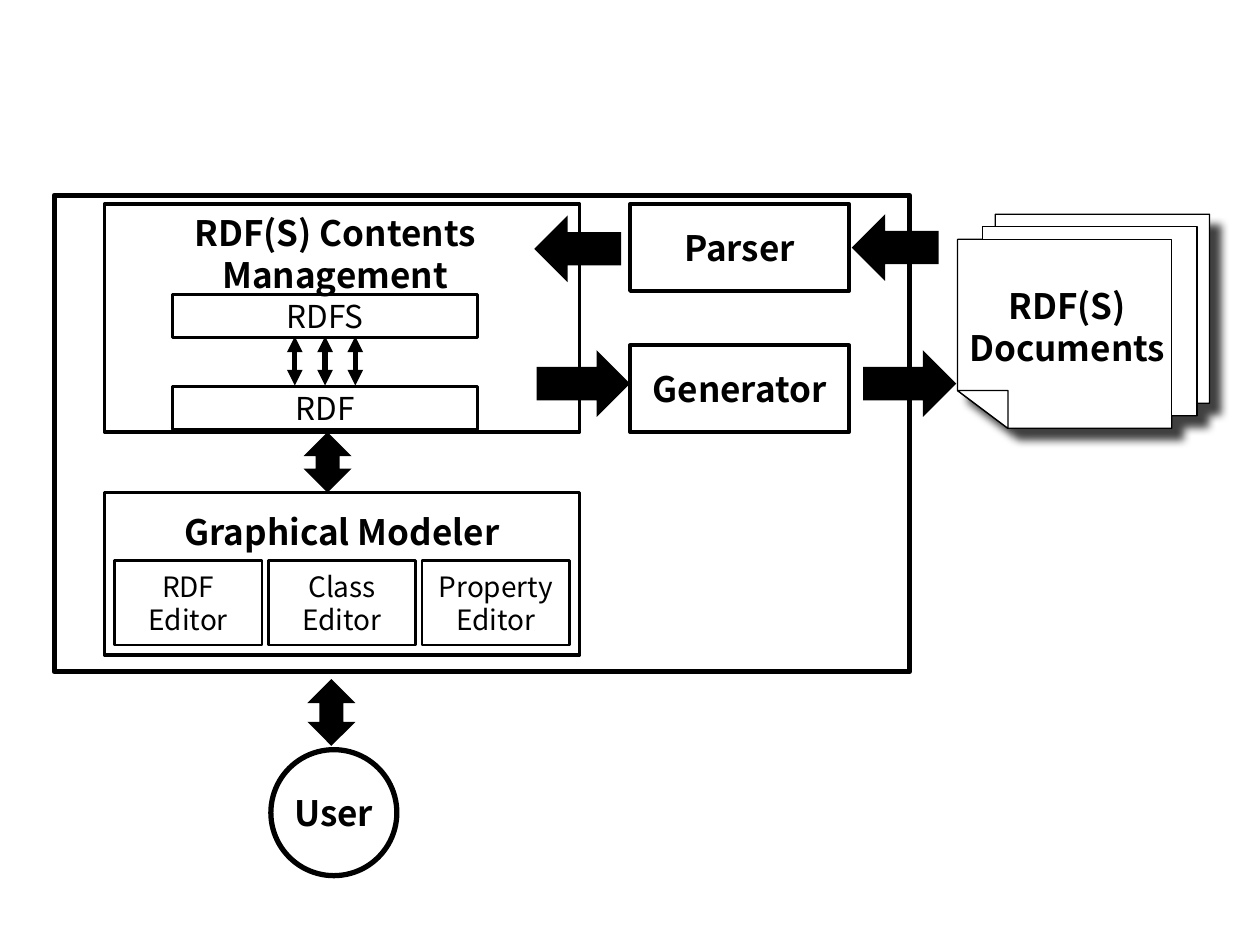
from lxml import etree
from pptx import Presentation
from pptx.dml.color import RGBColor
from pptx.enum.shapes import MSO_CONNECTOR, MSO_SHAPE
from pptx.enum.text import MSO_ANCHOR, PP_ALIGN
from pptx.oxml.ns import qn
from pptx.util import Inches, Pt

RECT, OVAL = MSO_SHAPE.RECTANGLE, MSO_SHAPE.OVAL
LEFT, RIGHT = MSO_SHAPE.LEFT_ARROW, MSO_SHAPE.RIGHT_ARROW
UP_DOWN = MSO_SHAPE.UP_DOWN_ARROW
STRAIGHT = MSO_CONNECTOR.STRAIGHT
TOP, MIDDLE = MSO_ANCHOR.TOP, MSO_ANCHOR.MIDDLE
CENTER = PP_ALIGN.CENTER

COLORS = {"ink": "000000", "paper": "FFFFFF"}
FONT = "Noto Sans CJK JP"
COLUMNS, ROWS = 100, 75
CELL = Inches(0.1)


def grid(*cells):
    return [round(cell * CELL) for cell in cells]


def color(name):
    return RGBColor.from_string(COLORS[name])


def paint(shape, fill, line_width):
    shape.shadow.inherit = False
    if fill:
        shape.fill.solid()
        shape.fill.fore_color.rgb = color(fill)
    else:
        shape.fill.background()
    if line_width:
        shape.line.color.rgb = color("ink")
        shape.line.width = Pt(line_width)
    else:
        shape.line.fill.background()


def write(shape, text, size, bold, anchor=MIDDLE, wrap=False):
    frame = shape.text_frame
    frame.text = text
    frame.word_wrap = wrap
    frame.vertical_anchor = anchor
    for paragraph in frame.paragraphs:
        paragraph.alignment = CENTER
        for run in paragraph.runs:
            run.font.name = FONT
            run.font.size = Pt(size)
            run.font.bold = bold
            run.font.color.rgb = color("ink")


def add_box(slide, area, line_width, text="", size=20, bold=True,
            fill=None, kind=RECT, anchor=MIDDLE):
    box = slide.shapes.add_shape(kind, *grid(*area))
    paint(box, fill, line_width)
    if text:
        write(box, text, size, bold, anchor)
    return box


def add_label(slide, area, text, wrap):
    label = slide.shapes.add_textbox(*grid(*area))
    write(label, text, 20, True, TOP, wrap)


def add_block_arrow(slide, kind, area):
    paint(slide.shapes.add_shape(kind, *grid(*area)), "ink", None)


def add_link(slide, column, top, bottom):
    link = slide.shapes.add_connector(STRAIGHT, *grid(column, top, column, bottom))
    link.line.color.rgb = color("ink")
    link.line.width = Pt(3)
    outline = link.line._get_or_add_ln()
    for end in ("a:headEnd", "a:tailEnd"):
        etree.SubElement(outline, qn(end), type="triangle")
    etree.SubElement(link._element.spPr, qn("a:effectLst"))


def add_outline(slide, points):
    builder = slide.shapes.build_freeform(*points[0], scale=CELL)
    builder.add_line_segments(points[1:], close=True)
    outline = builder.convert_to_shape()
    paint(outline, "paper", 0.75)
    return outline


def cast_shadow(shape):
    effects = shape._element.spPr.find(qn("a:effectLst"))
    shadow = etree.SubElement(
        effects, qn("a:outerShdw"), blurRad=str(Pt(5)), dist=str(Pt(8.5)),
        dir=str(45 * 60000), algn="ctr", rotWithShape="0")
    tint = etree.SubElement(shadow, qn("a:srgbClr"), val=COLORS["ink"])
    etree.SubElement(tint, qn("a:alpha"), val="75000")


def add_documents(slide):
    fold = [(75.9, 31), (80.1, 31), (80.1, 33.9)]
    stack = [(75.9, 31), (75.9, 18.8), (77.5, 18.8), (77.5, 17.7),
             (79.2, 17.7), (79.2, 16.6), (96.4, 16.6), (96.4, 31.7),
             (94.8, 31.7), (94.8, 32.8), (93.2, 32.8), (93.2, 33.9),
             (80.1, 33.9)]
    middle_sheet = [(77.5, 17.7), (94.8, 17.7), (94.8, 32.8),
                    (93.2, 32.8), (93.2, 18.8), (77.5, 18.8)]
    cast_shadow(add_outline(slide, stack))
    for points in (middle_sheet, fold):
        add_outline(slide, points)
    add_label(slide, (75.3, 22.1, 18.8, 7.7), "RDF(S)\nDocuments", False)


def add_contents_management(slide):
    add_box(slide, (8.3, 16.2, 37.7, 18.1), 2)
    for row, name in ((30.7, "RDF"), (23.4, "RDFS")):
        add_box(slide, (13.7, row, 24.2, 3.4), 1.5, name, 18, False, "paper")
    for index in range(3):
        add_link(slide, 23.4 + 2.4 * index, 26.7, 30.6)
    add_label(slide, (10.8, 16.3, 31.6, 7.7), "RDF(S) Contents Management", True)


def add_modeler(slide):
    modeler = add_box(slide, (8.3, 39.1, 37.7, 12.9), 2, "Graphical Modeler",
                      fill="paper", anchor=TOP)
    modeler.text_frame.margin_top = round(1.4 * CELL)
    for index, subject in enumerate(("RDF", "Class", "Property")):
        add_box(slide, (9.1 + 12.2 * index, 44.5, 11.7, 6.7), 1.5,
                f"{subject}\nEditor", 16, False, "paper")


def main():
    deck = Presentation()
    deck.slide_width, deck.slide_height = grid(COLUMNS, ROWS)
    slide = deck.slides.add_slide(deck.slide_layouts[6])

    add_box(slide, (4.3, 15.5, 67.9, 37.8), 3, fill="paper")
    add_documents(slide)
    for row, name in ((16.2, "Parser"), (27.4, "Generator")):
        add_box(slide, (50, row, 17.4, 6.9), 2, name)
    add_contents_management(slide)
    add_modeler(slide)
    add_box(slide, (21.5, 59.5, 10, 10), 3, "User", kind=OVAL)

    for kind, area in (
        (UP_DOWN, (24.4, 53.9, 3.8, 5.3)),
        (UP_DOWN, (24.1, 34.3, 3.8, 4.8)),
        (LEFT, (67.6, 17, 6.9, 5.3)),
        (LEFT, (42.4, 17.1, 6.9, 5.3)),
        (RIGHT, (42.6, 27.8, 7.4, 5.3)),
        (RIGHT, (68.5, 27.8, 7.4, 5.3)),
    ):
        add_block_arrow(slide, kind, area)

    deck.save("out.pptx")


main()
